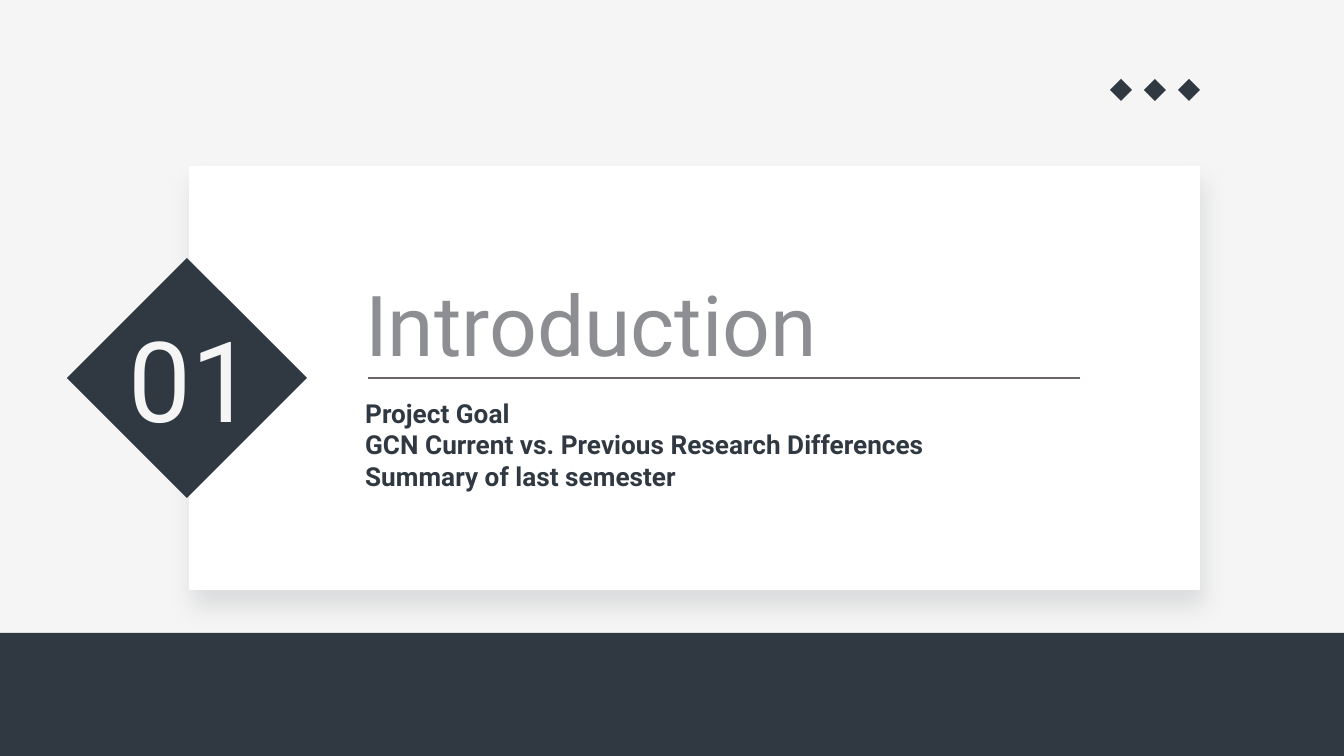
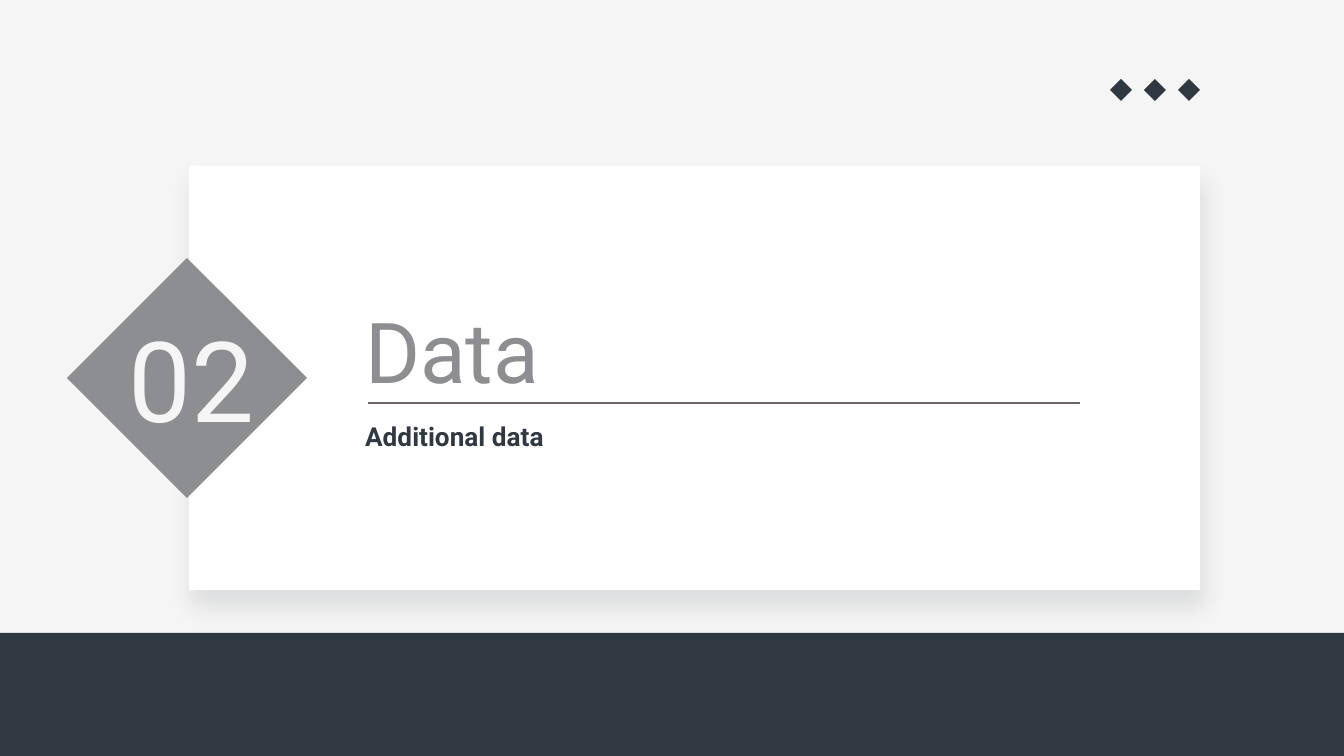
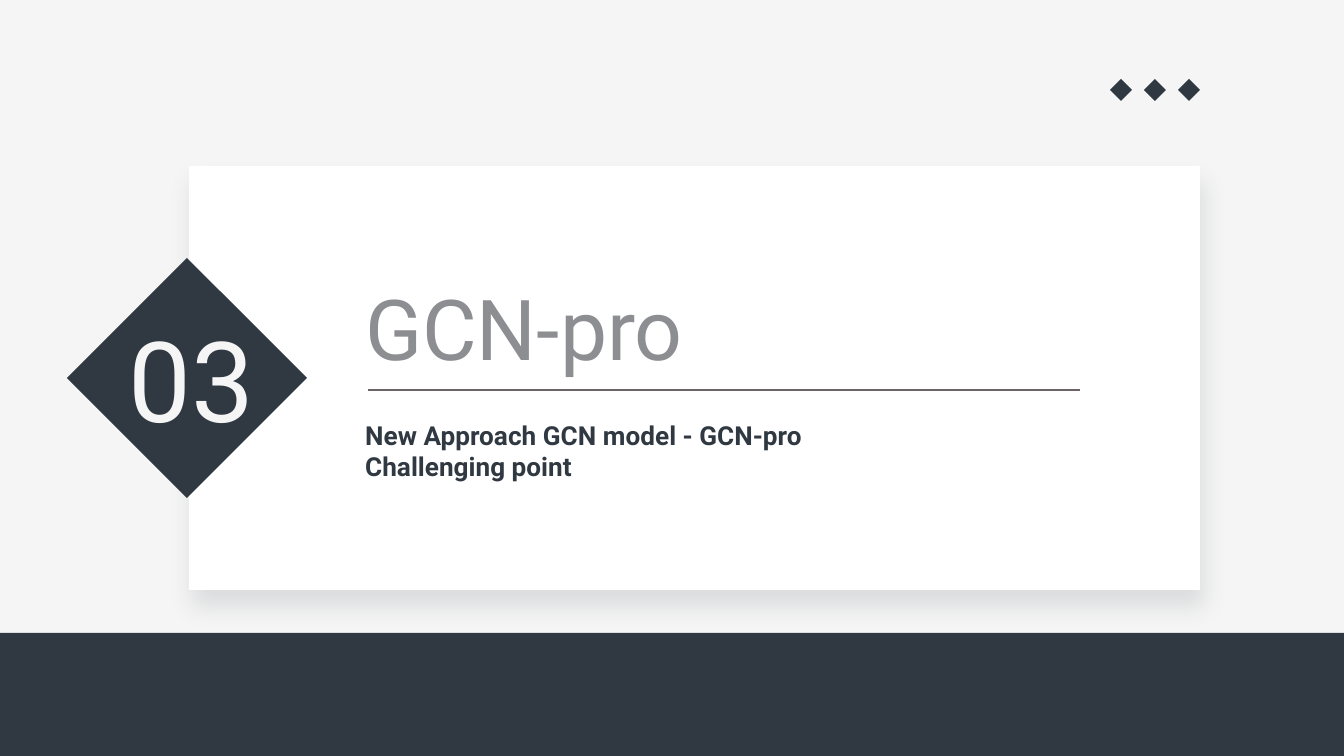
import pptx
import pptx.util
import pptx.dml.color
import pptx.enum.shapes
import pptx.enum.text
import pptx.oxml
import pptx.oxml.ns

# Content
SECTIONS = [
    {"number": "01", "badge": "navy", "title": "Introduction",
     "topics": "Project Goal\nGCN Current vs. Previous Research Differences\nSummary of last semester",
     "title_box": (352, 259, 579, 112), "rule_y": 378, "topics_box": (352, 384, 632, 112)},
    {"number": "02", "badge": "gray", "title": "Data",
     "topics": "Additional data",
     "title_box": (352, 286, 694, 112), "rule_y": 403, "topics_box": (352, 407, 579, 63)},
    {"number": "03", "badge": "navy", "title": "GCN-pro",
     "topics": "New Approach GCN model - GCN-pro\vChallenging point",
     "title_box": (352, 263, 579, 112), "rule_y": 390, "topics_box": (352, 406, 784, 86)},
]

# Shared look
COLORS = {"paper": "F5F5F5", "navy": "303942", "gray": "8D8E92",
          "white": "FFFFFF", "rule": "6C6465"}
BAND = (-8, 633, 1357, 127)
CARD = (189, 166, 1011, 424)
BADGE = (67, 258, 240, 240)
NUMBER_BOX = (107, 316, 161, 124)
RULE_LEFT, RULE_RIGHT = 368, 1080
DOT_LEFT, DOT_TOP, DOT_SIZE, DOT_STEP, DOT_COUNT = 1110, 79, 22, 34, 3

SHAPE = pptx.enum.shapes.MSO_SHAPE
ALIGN = pptx.enum.text.PP_ALIGN
ANCHOR = pptx.enum.text.MSO_ANCHOR
STYLES = {
    "title": {"size": 45, "color": "gray", "bold": False},
    "topics": {"size": 14, "color": "navy", "bold": True},
    "number": {"size": 60, "color": "paper", "bold": False},
}
CARD_SHADOW = (
    f'<a:outerShdw {pptx.oxml.ns.nsdecls("a")} blurRad="157480" dist="114300" dir="4560000"'
    f' algn="bl" rotWithShape="0"><a:srgbClr val="{COLORS["navy"]}">'
    '<a:alpha val="13000"/></a:srgbClr></a:outerShdw>')


def px(length):
    return pptx.util.Emu(round(length * 914400 / 134.4))


def color(name):
    return pptx.dml.color.RGBColor.from_string(COLORS[name])


def add_block(slide, preset, box, fill):
    block = slide.shapes.add_shape(preset, *map(px, box))
    block.shadow.inherit = False
    block.fill.solid()
    block.fill.fore_color.rgb = color(fill)
    block.line.fill.background()
    return block


def add_text(slide, text, box, style, align=ALIGN.LEFT, anchor=ANCHOR.TOP):
    frame = slide.shapes.add_textbox(*map(px, box)).text_frame
    settings = {"word_wrap": True, "vertical_anchor": anchor, "text": text}
    settings.update({f"margin_{side}": pptx.util.Inches(0.1)
                     for side in ("left", "top", "right", "bottom")})
    for name, value in settings.items():
        setattr(frame, name, value)
    look = STYLES[style]
    font_values = {"name": "Roboto", "size": pptx.util.Pt(look["size"]), "bold": look["bold"]}
    for paragraph in frame.paragraphs:
        paragraph.alignment = align
        for run in paragraph.runs:
            for name, value in font_values.items():
                setattr(run.font, name, value)
            run.font.color.rgb = color(look["color"])


def add_rule(slide, y):
    rule = slide.shapes.add_connector(
        pptx.enum.shapes.MSO_CONNECTOR.STRAIGHT, px(RULE_LEFT), px(y), px(RULE_RIGHT), px(y))
    rule.line.color.rgb = color("rule")
    rule.line.width = pptx.util.Pt(0.75)
    rule._element.spPr.append(pptx.oxml.parse_xml(
        f'<a:effectLst {pptx.oxml.ns.nsdecls("a")}/>'))


def add_section(deck, section):
    slide = deck.slides.add_slide(deck.slide_layouts[6])
    # Band and card
    add_block(slide, SHAPE.RECTANGLE, BAND, "navy")
    card = add_block(slide, SHAPE.RECTANGLE, CARD, "white")
    effects = card._element.spPr.find(pptx.oxml.ns.qn("a:effectLst"))
    effects.append(pptx.oxml.parse_xml(CARD_SHADOW))
    # Heading, topics and rule
    add_text(slide, section["title"], section["title_box"], "title")
    add_text(slide, section["topics"], section["topics_box"], "topics")
    add_rule(slide, section["rule_y"])
    # Numbered badge
    add_block(slide, SHAPE.DIAMOND, BADGE, section["badge"])
    add_text(slide, section["number"], NUMBER_BOX, "number", ALIGN.RIGHT, ANCHOR.MIDDLE)
    # Corner dots
    for i in range(DOT_COUNT):
        dot = (DOT_LEFT + i * DOT_STEP, DOT_TOP, DOT_SIZE, DOT_SIZE)
        add_block(slide, SHAPE.DIAMOND, dot, "navy")


def main():
    deck = pptx.Presentation()
    deck.slide_width, deck.slide_height = px(1344), px(756)
    backdrop = deck.slide_master.background.fill
    backdrop.solid()
    backdrop.fore_color.rgb = color("paper")
    for section in SECTIONS:
        add_section(deck, section)
    deck.save("out.pptx")


if __name__ == "__main__":
    main()
